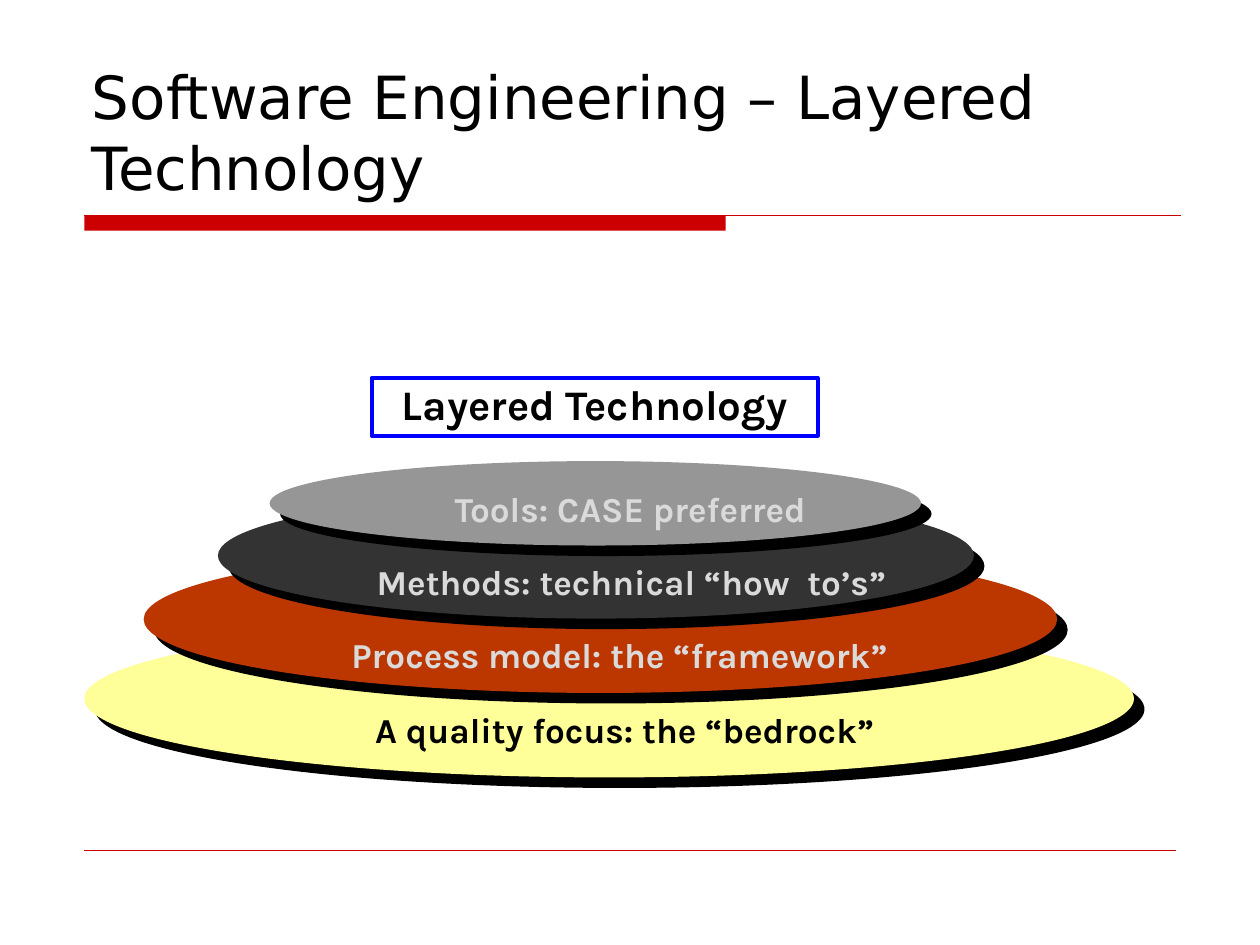
from lxml.etree import SubElement
from pptx import Presentation
from pptx.dml.color import RGBColor
from pptx.enum.shapes import MSO_CONNECTOR, MSO_SHAPE
from pptx.enum.text import MSO_ANCHOR, MSO_AUTO_SIZE, PP_ALIGN
from pptx.oxml.ns import qn
from pptx.util import Inches, Pt

COLORS = {
    "red": "CC0000",
    "blue": "0000FF",
    "black": "000000",
    "light": "DADADA",
    "bedrock": "FFFF99",
    "process": "BC3700",
    "methods": "333333",
    "tools": "969696",
}
TITLE_FONT = "DejaVu Sans"
BODY_FONT = "Karla"

# Ellipse box, fill, label, label box, label colour; from the bottom layer up
LAYERS = [
    ((0.67, 4.92, 8.33, 1.25), "bedrock",
     "A quality focus: the “bedrock”", (2.88, 5.57, 4.33, 0.43), "black"),
    ((1.14, 4.33, 7.25, 1.17), "process",
     "Process model: the “framework”", (2.69, 4.98, 4.69, 0.43), "light"),
    ((1.73, 3.91, 6, 1), "methods",
     "Methods: technical “how  to’s”", (2.89, 4.4, 4.39, 0.43), "light"),
    ((2.14, 3.66, 5.17, 0.67), "tools",
     "Tools: CASE preferred", (3.51, 3.82, 3.16, 0.43), "light"),
]


def color(name):
    return RGBColor.from_string(COLORS[name])


def inches(box):
    return [Inches(length) for length in box]


def write(paragraph, text, font, size, ink, bold=False):
    run = paragraph.add_run()
    run.text = text
    run.font.name = font
    run.font.size = Pt(size)
    run.font.bold = bold
    run.font.color.rgb = color(ink)


def fit_to_one_line(frame):
    frame.word_wrap = False
    frame.auto_size = MSO_AUTO_SIZE.SHAPE_TO_FIT_TEXT


def add_title(slide, text):
    title = slide.shapes.title
    title.left, title.top, title.width, title.height = inches((0.63, 0.33, 8.75, 1.33))
    frame = title.text_frame
    frame.vertical_anchor = MSO_ANCHOR.BOTTOM
    frame.word_wrap = True
    frame.auto_size = MSO_AUTO_SIZE.NONE
    frame.paragraphs[0].alignment = PP_ALIGN.LEFT
    frame.paragraphs[0].line_spacing = 1.0
    write(frame.paragraphs[0], text, TITLE_FONT, 34, "black")


def add_rule(slide, left, right, y, weight):
    rule = slide.shapes.add_connector(
        MSO_CONNECTOR.STRAIGHT, *inches((left, y, right, y)))
    rule.line.color.rgb = color("red")
    rule.line.width = Pt(weight)
    SubElement(rule._element.spPr, qn("a:effectLst"))


def add_filled_shape(slide, preset, box, fill):
    shape = slide.shapes.add_shape(preset, *inches(box))
    shape.shadow.inherit = False
    shape.fill.solid()
    shape.fill.fore_color.rgb = color(fill)
    shape.line.fill.background()
    return shape


def add_hard_shadow(shape):
    """Give the shape a solid black shadow towards the lower right."""
    effects = shape._element.spPr.find(qn("a:effectLst"))
    shadow = SubElement(effects, qn("a:outerShdw"), blurRad="0",
                        dist=str(Pt(8.5)), dir=str(45 * 60000),
                        algn="ctr", rotWithShape="0")
    SubElement(shadow, qn("a:srgbClr"), val=COLORS["black"])


def add_heading(slide, text):
    heading = slide.shapes.add_shape(
        MSO_SHAPE.RECTANGLE, *inches((2.95, 3, 3.54, 0.46)))
    heading.shadow.inherit = False
    heading.fill.background()
    heading.line.color.rgb = color("blue")
    heading.line.width = Pt(2.25)
    frame = heading.text_frame
    fit_to_one_line(frame)
    frame.vertical_anchor = MSO_ANCHOR.TOP
    paragraph = frame.paragraphs[0]
    paragraph.alignment = PP_ALIGN.CENTER
    paragraph.line_spacing = 0.9
    write(paragraph, text, BODY_FONT, 24, "black", bold=True)


def add_label(slide, text, box, ink):
    frame = slide.shapes.add_textbox(*inches(box)).text_frame
    fit_to_one_line(frame)
    write(frame.paragraphs[0], text, BODY_FONT, 20, ink, bold=True)


def main():
    presentation = Presentation()
    presentation.slide_width = Inches(10)
    presentation.slide_height = Inches(7.5)
    slide = presentation.slides.add_slide(presentation.slide_layouts[5])

    add_title(slide, "Software Engineering – Layered Technology")
    add_filled_shape(slide, MSO_SHAPE.RECTANGLE, (0.67, 1.71, 5.09, 0.12), "red")
    add_rule(slide, 0.67, 9.37, 1.71, 0.75)
    add_rule(slide, 0.67, 9.33, 6.75, 0.25)

    add_heading(slide, "Layered Technology")
    for ellipse_box, fill, *_ in LAYERS:
        add_hard_shadow(add_filled_shape(slide, MSO_SHAPE.OVAL, ellipse_box, fill))
    for _, _, text, label_box, ink in LAYERS:
        add_label(slide, text, label_box, ink)

    presentation.save("out.pptx")


if __name__ == "__main__":
    main()
